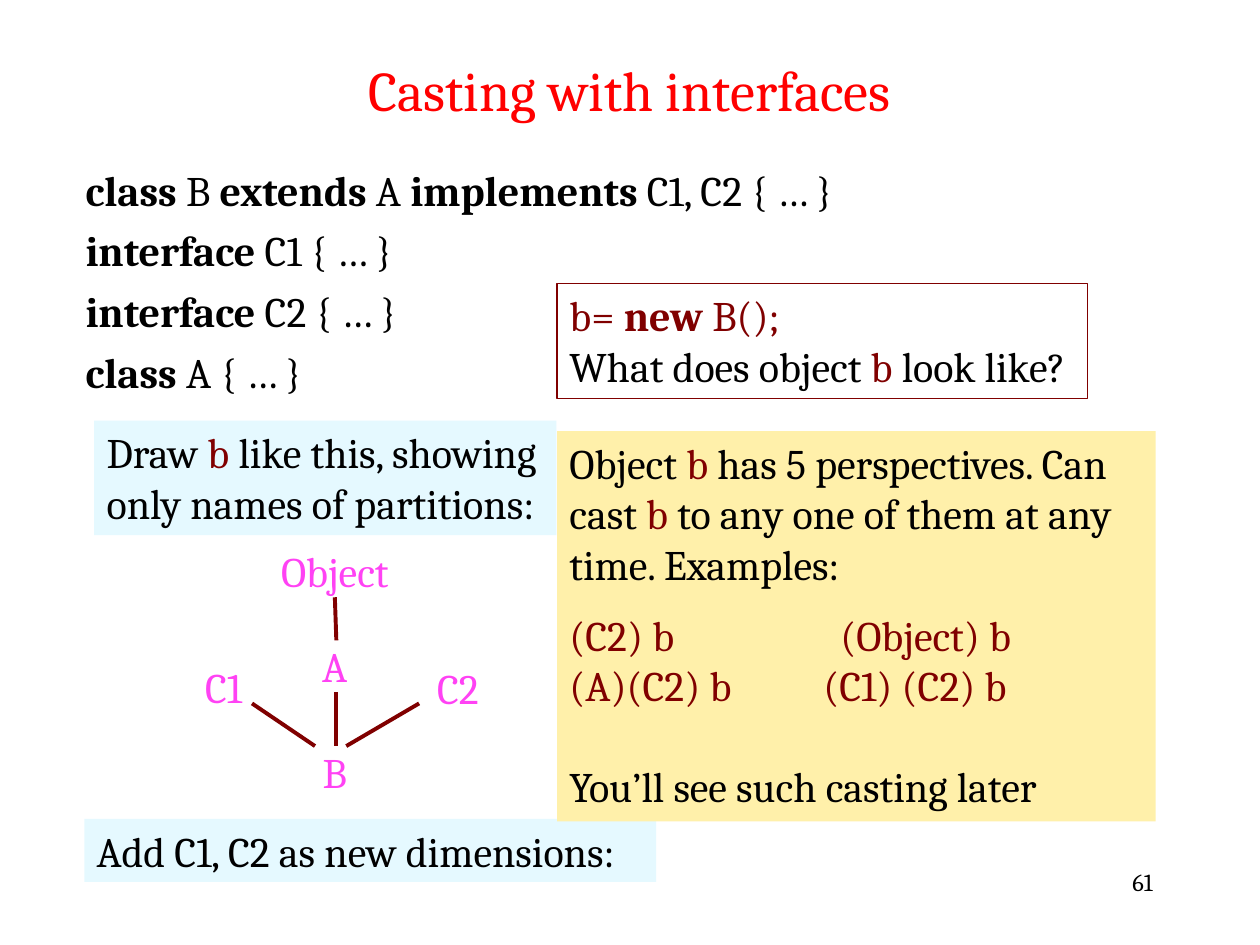
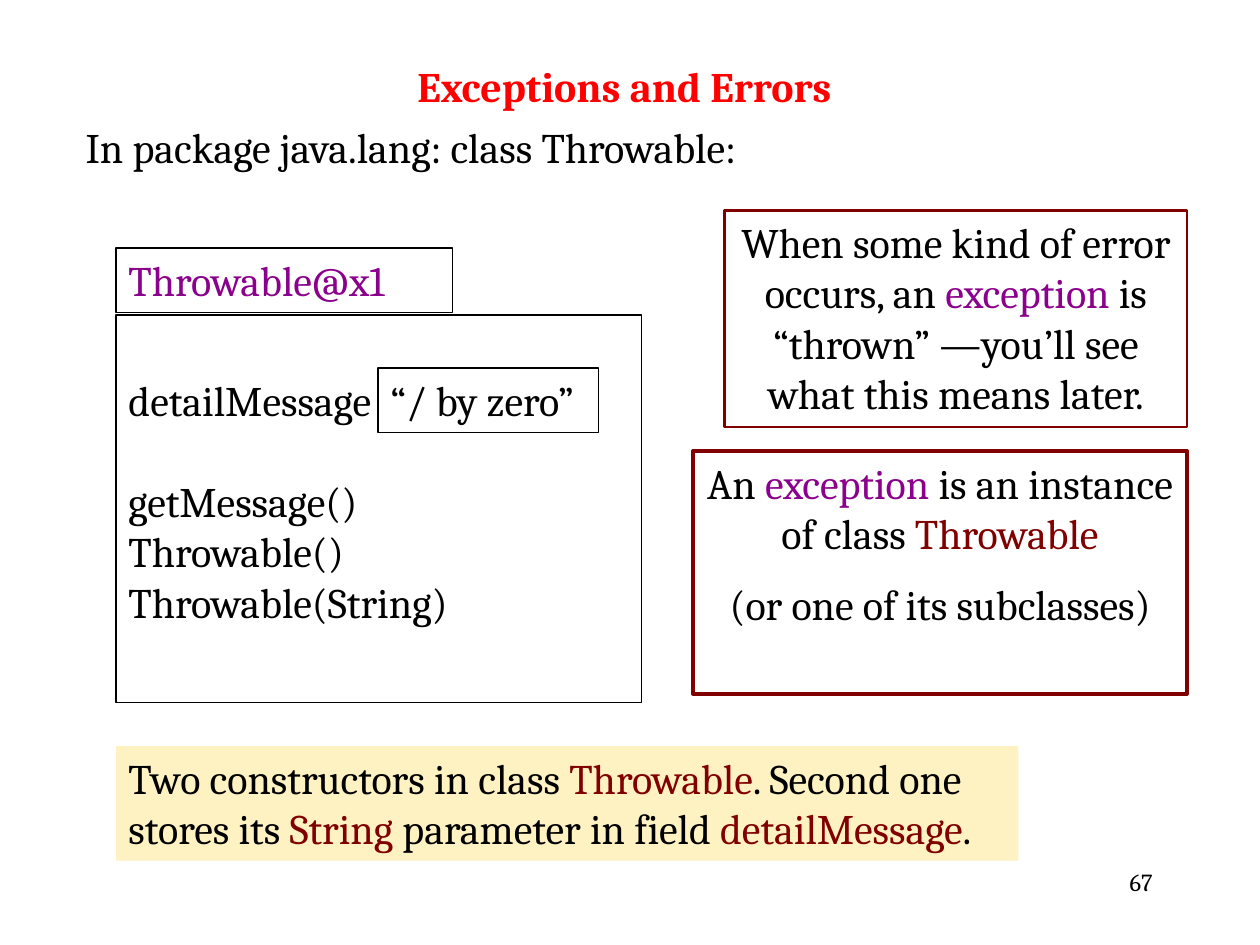
from dataclasses import dataclass

from lxml import etree
from pptx import Presentation
from pptx.dml.color import RGBColor
from pptx.enum.shapes import MSO_CONNECTOR, MSO_SHAPE
from pptx.enum.text import MSO_ANCHOR, MSO_AUTO_SIZE, PP_ALIGN
from pptx.oxml.ns import qn
from pptx.util import Cm, Pt

LEFT, CENTER, RIGHT = PP_ALIGN.LEFT, PP_ALIGN.CENTER, PP_ALIGN.RIGHT
TOP, MIDDLE = MSO_ANCHOR.TOP, MSO_ANCHOR.MIDDLE
RECT, STRAIGHT = MSO_SHAPE.RECTANGLE, MSO_CONNECTOR.STRAIGHT


@dataclass(frozen=True)
class Theme:
    font: str = "Cambria"
    ink: str = "000000"
    title: str = "FF0000"
    code: str = "800000"
    term: str = "8B008C"
    node: str = "FF42F4"
    sky: str = "E5F9FF"
    sand: str = "FFF0AA"
    cream: str = "FFF2C2"
    title_size: int = 32
    text_size: int = 24
    page_size: int = 14
    blank_line: int = 29


T = Theme()
KEYWORD = {"bold": True}
CODE = {"color": T.code}
CODE_KEYWORD = {"color": T.code, "bold": True}
TERM = {"color": T.term}


# Text: a paragraph is a list of plain strings and (string, format) pairs
def write(tf, paragraphs, align=LEFT, gaps=None, size=T.text_size, anchor=TOP, **base):
    for name, value in {"word_wrap": True, "auto_size": MSO_AUTO_SIZE.NONE,
                        "vertical_anchor": anchor}.items():
        setattr(tf, name, value)
    for i, pieces in enumerate(paragraphs):
        p = tf.paragraphs[0] if i == 0 else tf.add_paragraph()
        p.alignment = align
        p.space_before = Pt((gaps or {}).get(i, 0))
        for piece in pieces:
            text, own = (piece, {}) if isinstance(piece, str) else piece
            style = {"color": T.ink, "bold": False, **base, **own}
            r = p.add_run()
            r.text = text
            r.font.color.rgb = RGBColor.from_string(style.pop("color"))
            for name, value in {"name": T.font, "size": Pt(size), **style}.items():
                setattr(r.font, name, value)


def add_text(slide, box, paragraphs, inset=True, **fmt):
    s = slide.shapes.add_textbox(*map(Cm, box))
    if not inset:
        for side in ("left", "top", "right", "bottom"):
            setattr(s.text_frame, f"margin_{side}", 0)
    write(s.text_frame, paragraphs, **fmt)


def add_panel(slide, box, paragraphs=(), fill=None, line=None, width=0.75, **fmt):
    s = slide.shapes.add_shape(RECT, *map(Cm, box))
    s.shadow.inherit = False
    if fill:
        s.fill.solid()
        s.fill.fore_color.rgb = RGBColor.from_string(fill)
    else:
        s.fill.background()
    if line:
        s.line.color.rgb = RGBColor.from_string(line)
        s.line.width = Pt(width)
    else:
        s.line.fill.background()
    write(s.text_frame, paragraphs, **fmt)
    return s


def add_line(slide, start, end):
    c = slide.shapes.add_connector(STRAIGHT, *map(Cm, (*start, *end)))
    c.line.color.rgb = RGBColor.from_string(T.code)
    c.line.width = Pt(2.25)
    etree.SubElement(c._element.spPr, qn("a:effectLst"))


def set_tab(p, position):
    tabs = etree.SubElement(p._p.get_or_add_pPr(), qn("a:tabLst"))
    etree.SubElement(tabs, qn("a:tab"), pos=str(Cm(position)), algn="l")


# Parts shared by both slides
def place(ph, box):
    for name, value in zip(("left", "top", "width", "height"), box):
        setattr(ph, name, Cm(value))
    return ph.text_frame


def start_slide(prs, title, title_box, title_fmt, body, body_box, page, gaps=None):
    slide = prs.slides.add_slide(prs.slide_layouts[1])
    write(place(slide.shapes.title, title_box), [[title]], align=CENTER,
          anchor=MIDDLE, color=T.title, **title_fmt)
    tf = place(slide.placeholders[1], body_box)
    write(tf, body, gaps=gaps)
    for p in tf.paragraphs:
        pPr = p._p.get_or_add_pPr()
        pPr.set("marL", "0")
        pPr.set("indent", "0")
        etree.SubElement(pPr, qn("a:buNone"))
    add_text(slide, (18.21, 17.35, 5.28, 1.27), [[page]], align=RIGHT, size=T.page_size)
    return slide


# Class hierarchy of object b
def draw_hierarchy(slide, left, top):
    nodes = {"Object": (2.74, 0), "A": (2.74, 1.91), "B": (2.74, 4.04),
             "C1": (0.5, 2.34), "C2": (5.22, 2.36)}
    edges = [((2.74, 1.04), (2.77, 1.91)), ((2.77, 2.95), (2.77, 4.04)),
             ((4.44, 3.18), (2.97, 4.04)), ((1.07, 3.18), (2.34, 4.04))]
    for name, (x, y) in nodes.items():
        w = 0.4 * len(name) + 0.4
        add_text(slide, (left + x - w / 2, top + y, w, 1.02), [[name]],
                 inset=False, align=CENTER, color=T.node)
    for edge in edges:
        add_line(slide, *((left + x, top + y) for x, y in edge))


# Object diagram: name tab, frame, field and methods
def draw_throwable(slide, left, top, width, height):
    tab = 1.35
    add_panel(slide, (left, top + tab, width, height - tab), line=T.ink)
    add_panel(slide, (left, top, 6.78, 1.3), [["Throwable@x1"]], line=T.ink, color=T.term)
    field = top + 2.42
    add_panel(slide, (left + 5.28, field, 4.45, 1.3), [["“/ by zero”"]], line=T.ink)
    add_text(slide, (left, field, width - 0.38, 5.38),
             [["detailMessage"], ["getMessage()"], ["Throwable()"], ["Throwable(String)"]],
             gaps={1: T.blank_line})


def casting_slide(prs):
    declarations = [
        [("class", KEYWORD), " B ", ("extends", KEYWORD), " A ",
         ("implements", KEYWORD), " C1, C2 { … }"],
        [("interface", KEYWORD), " C1 { … }"],
        [("interface", KEYWORD), " C2 { … }"],
        [("class", KEYWORD), " A { … }"],
    ]
    slide = start_slide(prs, "Casting with interfaces", (1.9, 1.27, 21.59, 1.07),
                        {"size": T.title_size}, declarations, (1.47, 3.18, 16.1, 5),
                        "61", gaps={1: 6, 2: 6, 3: 6})
    # Question and drawing
    add_panel(slide, (11.23, 5.72, 10.69, 2.31),
              [[("b= ", CODE), ("new", CODE_KEYWORD), (" B();", CODE)],
               ["What does object ", ("b", CODE), " look like?"]], line=T.code)
    add_panel(slide, (1.9, 8.48, 9.32, 2.31),
              [["Draw ", ("b", CODE), " like this, showing only names of partitions:"]],
              fill=T.sky)
    add_panel(slide, (1.7, 16.51, 11.53, 1.27), [["Add C1, C2 as new dimensions:"]],
              fill=T.sky)
    draw_hierarchy(slide, 4.01, 11)
    # Perspectives and casts
    casts = add_panel(
        slide, (11.23, 8.69, 12.07, 7.87),
        [["Object ", ("b", CODE), " has 5 perspectives. Can cast ", ("b", CODE),
          " to any one of them at any time. Examples:"],
         [("(C2) b\t(Object) b", CODE)],
         [("(A)(C2) b\t(C1) (C2) b", CODE)],
         ["You’ll see such casting later"]],
        fill=T.sand, gaps={1: 12, 3: T.blank_line})
    for p, position in zip(casts.text_frame.paragraphs[1:3], (5.46, 5.12)):
        set_tab(p, position)


def exceptions_slide(prs):
    slide = start_slide(prs, "Exceptions and Errors", (1.47, 1.27, 22.23, 0.91),
                        {"bold": True}, [["In package java.lang: class Throwable:"]],
                        (1.47, 2.33, 22.23, 1.27), "67")
    draw_throwable(slide, 2.34, 5, 10.59, 9.17)
    # Explanations
    add_panel(slide, (14.61, 4.24, 9.32, 4.37),
              [["When some kind of error occurs, an ", ("exception", TERM),
                " is “thrown” —you’ll see what this means later."]],
              line=T.code, width=1.5, align=CENTER)
    add_panel(slide, (13.97, 9.09, 9.96, 4.9),
              [["An ", ("exception", TERM), " is an instance of class ", ("Throwable", CODE)],
               ["(or one of its subclasses)"]],
              line=T.code, width=2, align=CENTER, gaps={1: 12})
    add_panel(slide, (2.34, 15.04, 18.19, 2.31),
              [["Two constructors in class ", ("Throwable", CODE),
                ". Second one stores its ", ("String", CODE), " parameter in field ",
                ("detailMessage", CODE), "."]], fill=T.cream)


def main():
    prs = Presentation()
    prs.slide_width, prs.slide_height = Cm(25.4), Cm(19.05)
    casting_slide(prs)
    exceptions_slide(prs)
    prs.save("out.pptx")


if __name__ == "__main__":
    main()
